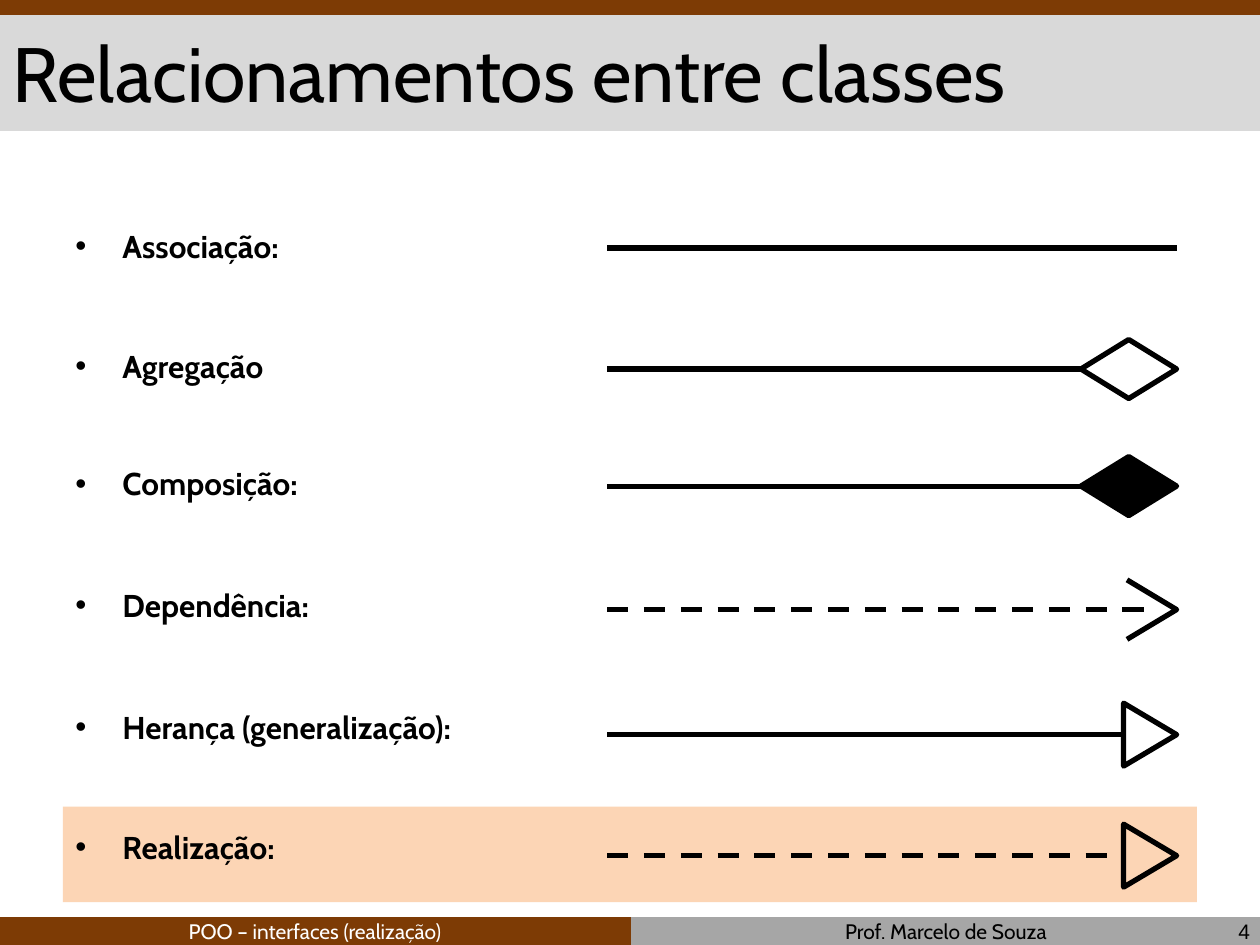
from dataclasses import dataclass

from lxml import etree
from pptx import Presentation
from pptx import util as u
from pptx.dml.color import RGBColor
from pptx.enum import dml, shapes, text
from pptx.oxml.ns import qn

FONT = "Cabin"
BLACK, WHITE = "000000", "FFFFFF"
BROWN, GRAY, LIGHT_GRAY, PEACH = "7D3B05", "A6A6A6", "D9D9D9", "FCD5B5"
LINE_LEFT, LINE_RIGHT = 12.24, 23.72
LINE_WIDTH = u.Pt(3)


@dataclass
class Bar:
    box: tuple[float, float, float, float]
    color: str


@dataclass
class Label:
    box: tuple[float, float, float, float]
    words: str
    color: str
    align: text.PP_ALIGN
    anchor: text.MSO_ANCHOR = text.MSO_ANCHOR.BOTTOM
    font: str = FONT


@dataclass
class Relation:
    name: str
    gap: float  # points above the name
    y: float  # centre of the line
    head: str = ""
    fill: str = WHITE
    dashed: bool = False
    right: float = LINE_RIGHT


BARS = [
    Bar((12.7, 18.49, 12.7, 0.61), GRAY),
    Bar((0, 18.49, 12.72, 0.61), BROWN),
    Bar((0, 0.28, 25.4, 2.36), LIGHT_GRAY),
    Bar((0, 0, 25.4, 0.3), BROWN),
    Bar((1.27, 16.26, 22.86, 1.93), PEACH),
]
LABELS = [
    Label((12.72, 18.39, 12.7, 0.76), "Prof. Marcelo de Souza", BLACK, text.PP_ALIGN.CENTER),
    Label((0, 18.39, 12.7, 0.76), "POO – interfaces (realização)", WHITE, text.PP_ALIGN.CENTER),
    Label((19.53, 18.36, 5.92, 0.84), "4", BLACK, text.PP_ALIGN.RIGHT,
          text.MSO_ANCHOR.MIDDLE, "Arial"),
]
RELATIONS = [
    Relation("Associação:", 0, 5.0),
    Relation("Agregação", 47, 7.44, "diamond"),
    Relation("Composição:", 45.5, 9.8, "diamond", BLACK),
    Relation("Dependência:", 48, 12.29, "open", dashed=True, right=23.1),
    Relation("Herança (generalização):", 48, 14.81, "triangle"),
    Relation("Realização:", 47, 17.25, "triangle", PEACH, dashed=True),
]


def rgb(color: str) -> RGBColor:
    return RGBColor.from_string(color)


def add_run(p, words: str, size: float, color: str, font: str = FONT, bold: bool = False):
    r = p.add_run()
    r.text = words
    r.font.name, r.font.size, r.font.bold = font, u.Pt(size), bold
    r.font.color.rgb = rgb(color)


def outline(sp):
    sp.line.color.rgb = rgb(BLACK)
    sp.line.width = LINE_WIDTH


def add_bar(s, bar: Bar):
    sp = s.shapes.add_shape(shapes.MSO_SHAPE.RECTANGLE, *map(u.Cm, bar.box))
    sp.shadow.inherit = False
    sp.fill.solid()
    sp.fill.fore_color.rgb = rgb(bar.color)
    sp.line.fill.background()


def add_label(s, label: Label):
    tf = s.shapes.add_textbox(*map(u.Cm, label.box)).text_frame
    tf.word_wrap = True
    tf.vertical_anchor = label.anchor
    p = tf.paragraphs[0]
    p.alignment = label.align
    add_run(p, label.words, 12, label.color, label.font)


def set_title(s, words: str):
    sp = s.shapes.title
    sp.left, sp.top, sp.width, sp.height = map(u.Cm, (0, 0.3, 25.4, 2.31))
    tf = sp.text_frame
    tf.vertical_anchor = text.MSO_ANCHOR.MIDDLE
    p = tf.paragraphs[0]
    p.alignment = text.PP_ALIGN.LEFT
    add_run(p, words, 44, BLACK)


def set_bullet(p):
    pPr = p._p.get_or_add_pPr()
    indent = u.Cm(0.95)
    pPr.set("marL", str(indent))
    pPr.set("indent", str(-indent))
    etree.SubElement(pPr, qn("a:buFont")).set("typeface", "Arial")
    etree.SubElement(pPr, qn("a:buChar")).set("char", "•")


def add_names(s, relations: list[Relation]):
    tf = s.shapes.add_textbox(*map(u.Cm, (1.27, 4.45, 22.86, 13.33))).text_frame
    tf.word_wrap = True
    for i, relation in enumerate(relations):
        p = tf.add_paragraph() if i else tf.paragraphs[0]
        p.alignment = text.PP_ALIGN.JUSTIFY
        p.space_before = u.Pt(relation.gap)
        set_bullet(p)
        add_run(p, relation.name, 18, BLACK, bold=True)


def add_line(s, relation: Relation):
    y = u.Cm(relation.y)
    line = s.shapes.add_connector(
        shapes.MSO_CONNECTOR.STRAIGHT, u.Cm(LINE_LEFT), y, u.Cm(relation.right), y)
    outline(line)
    if relation.dashed:
        line.line.dash_style = dml.MSO_LINE.DASH
    etree.SubElement(line._element.spPr, qn("a:effectLst"))


def add_solid_head(s, relation: Relation):
    """Diamond, or triangle turned to point right, ending where the line ends."""
    if relation.head == "diamond":
        kind, width, height, turn = shapes.MSO_SHAPE.DIAMOND, 1.93, 1.19, 0
        center = LINE_RIGHT - width / 2
    else:
        kind, width, height, turn = shapes.MSO_SHAPE.ISOSCELES_TRIANGLE, 1.27, 1.07, 90
        center = LINE_RIGHT - height / 2
    sp = s.shapes.add_shape(kind, u.Cm(center - width / 2), u.Cm(relation.y - height / 2),
                            u.Cm(width), u.Cm(height))
    sp.rotation = turn
    sp.shadow.inherit = False
    sp.fill.solid()
    sp.fill.fore_color.rgb = rgb(relation.fill)
    outline(sp)


def add_open_head(s, relation: Relation):
    back, half = LINE_RIGHT - 1, 0.6
    points = [(u.Cm(x), u.Cm(y)) for x, y in (
        (back, relation.y - half), (LINE_RIGHT, relation.y), (back, relation.y + half))]
    builder = s.shapes.build_freeform(*points[0])
    builder.add_line_segments(points[1:], close=False)
    sp = builder.convert_to_shape()
    sp.shadow.inherit = False
    sp.fill.background()
    outline(sp)


def main():
    prs = Presentation()
    prs.slide_width, prs.slide_height = u.Cm(25.4), u.Cm(19.05)
    s = prs.slides.add_slide(prs.slide_layouts[5])
    for bar in BARS:
        add_bar(s, bar)
    # The title placeholder comes first; lift it above the bars.
    s.shapes._spTree.append(s.shapes.title._element)
    set_title(s, "Relacionamentos entre classes")
    for label in LABELS:
        add_label(s, label)
    add_names(s, RELATIONS)
    for relation in RELATIONS:
        add_line(s, relation)
        if relation.head == "open":
            add_open_head(s, relation)
        elif relation.head:
            add_solid_head(s, relation)
    prs.save("out.pptx")


if __name__ == "__main__":
    main()
